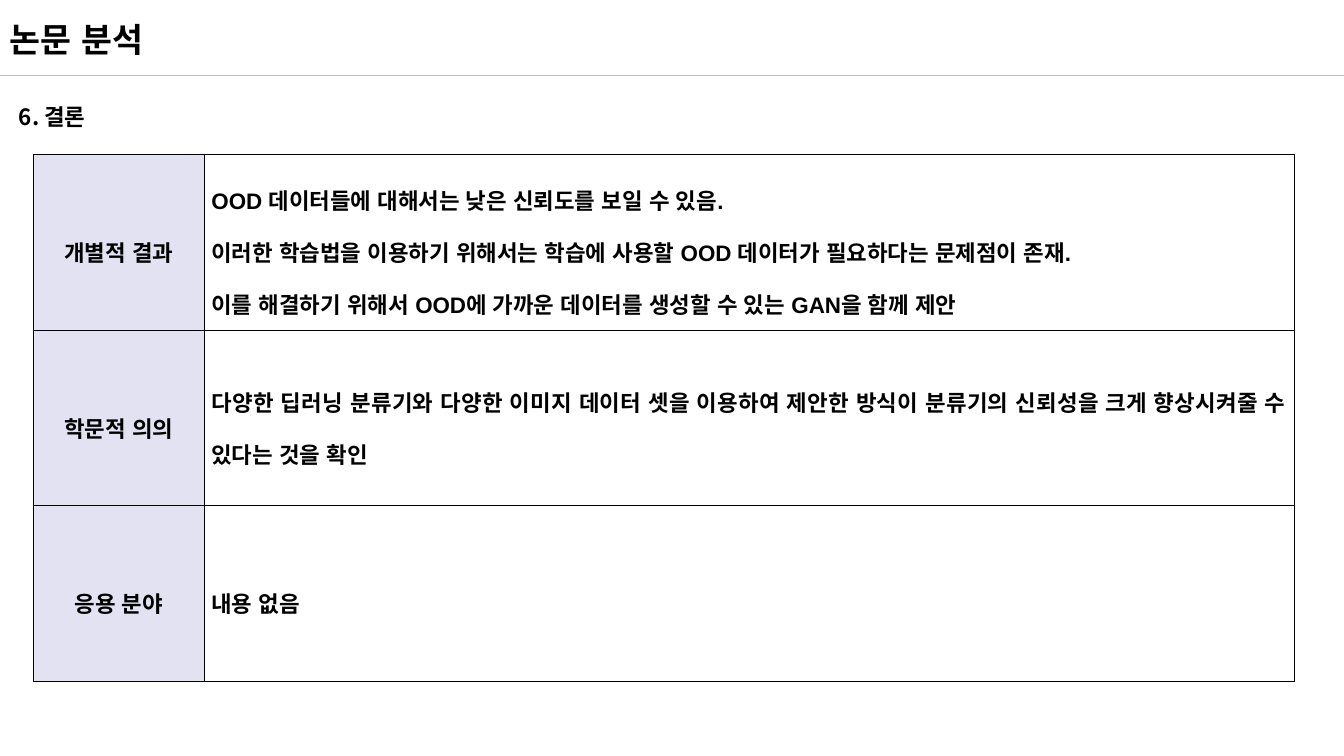
import pptx
import pptx.dml.color
import pptx.enum.lang
import pptx.enum.shapes
import pptx.enum.text
import pptx.oxml
import pptx.oxml.ns
import pptx.util
from dataclasses import dataclass
from lxml import etree

Pt = pptx.util.Pt
ALIGN = pptx.enum.text.PP_ALIGN


@dataclass(frozen=True)
class Theme:
    ink: str = "000000"
    rule: str = "BFBFBF"
    label_fill: str = "E3E2F2"
    korean_font: str = "Noto Sans CJK KR"
    latin_font: str = "Arial"
    title_size: float = 24
    body_size: float = 16
    rule_width: float = 0.5
    border_width: float = 0.28


THEME = Theme()


def color(value):
    return pptx.dml.color.RGBColor.from_string(value)


def write_text(frame, lines, size=THEME.body_size, font=THEME.korean_font,
               align=ALIGN.LEFT, spacing=1.0):
    for index, line in enumerate(lines):
        paragraph = frame.add_paragraph() if index else frame.paragraphs[0]
        paragraph.alignment = align
        paragraph.line_spacing = spacing
        run = paragraph.add_run()
        run.text = line
        run.font.name = font
        run.font.size = Pt(size)
        run.font.bold = True
        run.font.color.rgb = color(THEME.ink)
        run.font.language_id = pptx.enum.lang.MSO_LANGUAGE_ID.KOREAN
        latin = run.font._element.find(pptx.oxml.ns.qn("a:latin"))
        east_asian = etree.Element(pptx.oxml.ns.qn("a:ea"), typeface=THEME.korean_font)
        latin.addnext(east_asian)


class SlideBuilder:
    def __init__(self, slide, theme):
        self.slide = slide
        self.theme = theme

    def line(self, start_x, start_y, end_x, end_y):
        connector = self.slide.shapes.add_connector(
            pptx.enum.shapes.MSO_CONNECTOR.STRAIGHT,
            Pt(start_x), Pt(start_y), Pt(end_x), Pt(end_y))
        connector.line.color.rgb = color(self.theme.rule)
        connector.line.width = Pt(self.theme.rule_width)
        etree.SubElement(connector._element.spPr, pptx.oxml.ns.qn("a:effectLst"))

    def text(self, text, left, top, width, height, **text_format):
        shape = self.slide.shapes.add_textbox(Pt(left), Pt(top), Pt(width), Pt(height))
        frame = shape.text_frame
        frame.word_wrap = True
        frame.auto_size = pptx.enum.text.MSO_AUTO_SIZE.SHAPE_TO_FIT_TEXT
        write_text(frame, [text], **text_format)

    def border(self, cell):
        properties = cell._tc.get_or_add_tcPr()
        for side in ("lnL", "lnR", "lnT", "lnB"):
            edge = etree.SubElement(properties, pptx.oxml.ns.qn(f"a:{side}"),
                                    w=str(int(Pt(self.theme.border_width))))
            fill = etree.SubElement(edge, pptx.oxml.ns.qn("a:solidFill"))
            etree.SubElement(fill, pptx.oxml.ns.qn("a:srgbClr"), val=self.theme.ink)

    def cell(self, cell, lines, align, fill=None):
        cell.margin_left = cell.margin_right = Pt(5.1)
        cell.margin_top = cell.margin_bottom = Pt(1.4)
        cell.vertical_anchor = pptx.enum.text.MSO_ANCHOR.MIDDLE
        self.border(cell)
        if fill:
            cell.fill.solid()
            cell.fill.fore_color.rgb = color(fill)
        else:
            cell.fill.background()
        write_text(cell.text_frame, lines, font=self.theme.latin_font,
                   align=align, spacing=1.6)

    def table(self, rows, left, top, widths, row_height):
        shape = self.slide.shapes.add_table(
            len(rows), len(widths), Pt(left), Pt(top),
            Pt(sum(widths)), Pt(row_height * len(rows)))
        table = shape.table
        table.first_row = table.horz_banding = False
        for column, width in zip(table.columns, widths):
            column.width = Pt(width)
        for index, (label, lines) in enumerate(rows):
            table.rows[index].height = Pt(row_height)
            self.cell(table.cell(index, 0), [label], ALIGN.CENTER, self.theme.label_fill)
            self.cell(table.cell(index, 1), lines, ALIGN.JUSTIFY)


CONCLUSIONS = [
    ("개별적 결과", [
        "OOD 데이터들에 대해서는 낮은 신뢰도를 보일 수 있음.",
        "이러한 학습법을 이용하기 위해서는 학습에 사용할 OOD 데이터가 필요하다는 문제점이 존재.",
        "이를 해결하기 위해서 OOD에 가까운 데이터를 생성할 수 있는 GAN을 함께 제안",
    ]),
    ("학문적 의의", [
        "다양한 딥러닝 분류기와 다양한 이미지 데이터 셋을 이용하여 제안한 방식이 "
        "분류기의 신뢰성을 크게 향상시켜줄 수 있다는 것을 확인",
    ]),
    ("응용 분야", ["내용 없음"]),
]


def main():
    presentation = pptx.Presentation()
    presentation.slide_width = Pt(960)
    presentation.slide_height = Pt(540)
    slide = presentation.slides.add_slide(presentation.slide_layouts[6])
    builder = SlideBuilder(slide, THEME)
    builder.line(0, 54, 960, 54)
    builder.text("논문 분석", 0, 10, 924.5, 36, size=THEME.title_size)
    builder.text("6. 결론", 6.5, 60.5, 925, 65.5, spacing=1.5)
    builder.table(CONCLUSIONS, left=23.8, top=110.2, widths=[122.2, 778.5], row_height=125.5)
    presentation.save("out.pptx")


if __name__ == "__main__":
    main()
